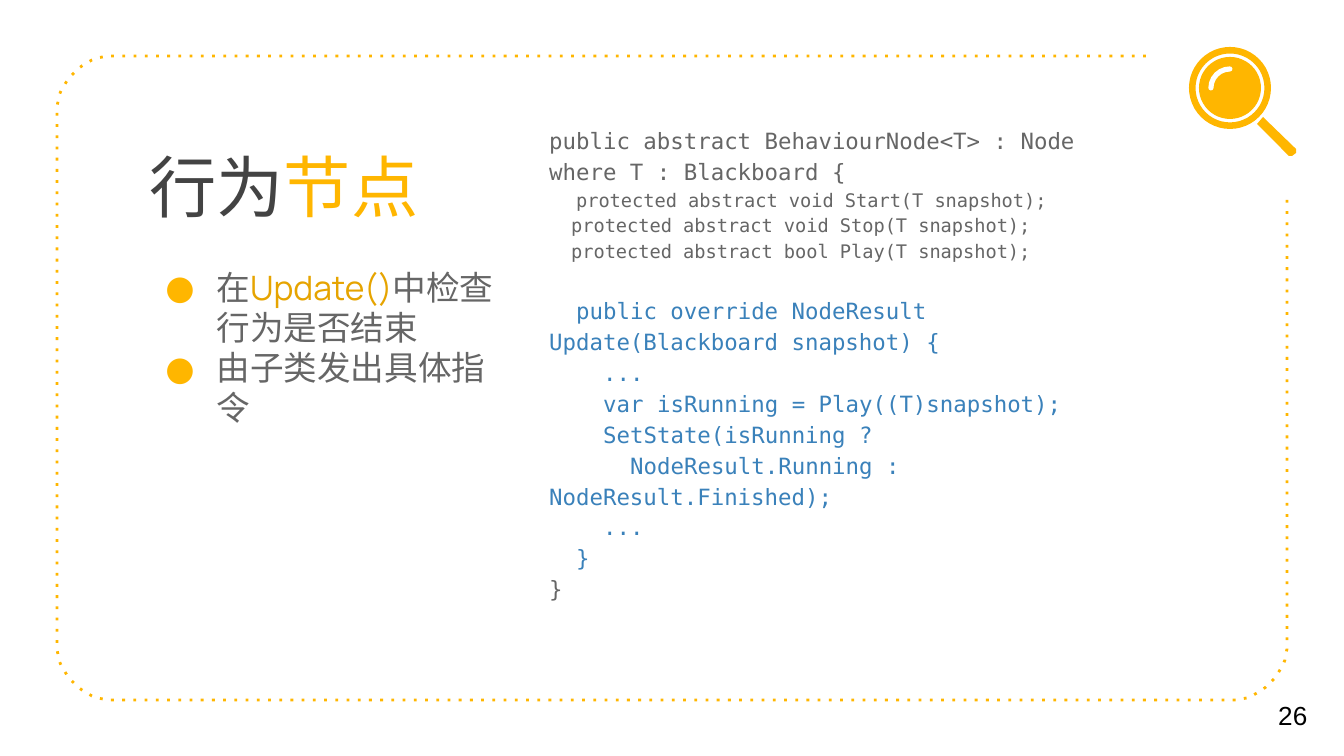
import math

from lxml import etree
from pptx import Presentation
from pptx import util as u
from pptx.dml.color import RGBColor
from pptx.enum import shapes, text
from pptx.oxml import ns

EMU_PER_PX = 914400 / 134.4
YELLOW, GOLD, DARK, GREY, BLUE = "FFB600", "E6A400", "434343", "666666", "3A81BA"
BLACK, WHITE = "000000", "FFFFFF"
SANS, MONO = "Manrope", "DejaVu Sans Mono"

# text, indent in px, size in points, colour, space before in points
CODE = [
    ("public abstract BehaviourNode<T> : Node", 0, 12, GREY, 0),
    ("where T : Blackboard {", 0, 12, GREY, 0),
    ("protected abstract void Start(T snapshot);", 27, 10, GREY, 0),
    ("protected abstract void Stop(T snapshot);", 22, 10, GREY, 0),
    ("protected abstract bool Play(T snapshot);", 22, 10, GREY, 0),
    ("public override NodeResult Update(Blackboard snapshot) {", 27, 12, BLUE, 16.5),
    ("...", 54, 12, BLUE, 0),
    ("var isRunning = Play((T)snapshot);", 54, 12, BLUE, 0),
    ("SetState(isRunning ?", 54, 12, BLUE, 0),
    ("NodeResult.Running : NodeResult.Finished);", 81, 12, BLUE, 0),
    ("...", 54, 12, BLUE, 0),
    ("}", 27, 12, BLUE, 0),
    ("}", 0, 12, GREY, 0),
]
BULLETS = [
    ([("在", GREY), ("Update()", GOLD), ("中检查行为是否结束", GREY)], 6),
    ([("由子类发出具体指令", GREY)], 0),
]


def px(value):
    return u.Emu(round(value * EMU_PER_PX))


def paint(color_format, value):
    color_format.rgb = RGBColor.from_string(value)


def fill_shape(shape, color):
    shape.shadow.inherit = False
    shape.fill.solid()
    paint(shape.fill.fore_color, color)
    shape.line.fill.background()


def stroke_shape(shape, color, width):
    shape.shadow.inherit = False
    shape.fill.background()
    shape.line.width = u.Pt(width)
    paint(shape.line.color, color)
    return shape.line.fill._xPr


def add_run(paragraph, content, size, color, font):
    run = paragraph.add_run()
    run.text = content
    run.font.size = u.Pt(size)
    run.font.name = font
    paint(run.font.color, color)


def prepare_frame(shape, box, anchor=text.MSO_ANCHOR.TOP):
    """Place a text shape and give its frame even insets."""
    shape.left, shape.top, shape.width, shape.height = map(px, box)
    frame = shape.text_frame
    frame.word_wrap = True
    frame.auto_size = text.MSO_AUTO_SIZE.NONE
    frame.vertical_anchor = anchor
    frame.margin_left = frame.margin_right = u.Inches(0.1)
    frame.margin_top = frame.margin_bottom = u.Inches(0.1)
    return frame


def paragraphs_for(frame, items):
    """Pair each item with a paragraph, starting with the existing one."""
    for index, item in enumerate(items):
        yield (frame.add_paragraph() if index else frame.paragraphs[0]), item


def set_indent(paragraph, margin, indent):
    properties = paragraph._p.get_or_add_pPr()
    properties.set("marL", str(px(margin)))
    properties.set("indent", str(px(indent)))
    return properties


def add_bullet(paragraph, color):
    properties = set_indent(paragraph, 67, -51)
    bullet_color = etree.SubElement(properties, ns.qn("a:buClr"))
    etree.SubElement(bullet_color, ns.qn("a:srgbClr"), val=color)
    etree.SubElement(properties, ns.qn("a:buFont"), typeface=SANS)
    etree.SubElement(properties, ns.qn("a:buChar"), char="●")


def add_outline(slide, points, closed):
    builder = slide.shapes.build_freeform(*points[0], scale=EMU_PER_PX)
    builder.add_line_segments(points[1:], close=closed)
    return builder.convert_to_shape()


def corner(center_x, center_y, radius, start):
    """Points of a quarter turn, counter-clockwise on the slide."""
    angles = [math.radians(start - step * 90 / 16) for step in range(17)]
    return [(center_x + radius * math.cos(a), center_y + radius * math.sin(a))
            for a in angles]


def add_dotted_border(slide):
    left, top, right, bottom, radius = 57, 56, 1287, 700, 57
    points = [(1146, top)]
    points += corner(left + radius, top + radius, radius, 270)
    points += corner(left + radius, bottom - radius, radius, 180)
    points += corner(right - radius, bottom - radius, radius, 90)
    points.append((right, 196))
    line = stroke_shape(add_outline(slide, points, False), YELLOW, 1.5)
    etree.SubElement(line, ns.qn("a:prstDash"), val="dot")


def add_round(slide, kind, radius):
    center_x, center_y = 1230, 88
    return slide.shapes.add_shape(kind, px(center_x - radius), px(center_y - radius),
                                  px(2 * radius), px(2 * radius))


def add_magnifier(slide):
    kinds = shapes.MSO_SHAPE
    ring = add_round(slide, kinds.DONUT, 41)
    ring.adjustments[0] = 0.08
    fill_shape(ring, YELLOW)
    fill_shape(add_round(slide, kinds.OVAL, 31), YELLOW)
    gleam = add_round(slide, kinds.ARC, 19)
    gleam.adjustments[0], gleam.adjustments[1] = 108, 162
    stroke_shape(gleam, WHITE, 2.75).set("cap", "rnd")
    handle = [(1263, 117), (1296, 149), (1296, 153), (1292, 156), (1289, 156), (1257, 124)]
    fill_shape(add_outline(slide, handle, True), YELLOW)


def add_title(slide):
    paragraph = prepare_frame(slide.shapes.title, (136, 132, 1009, 109)).paragraphs[0]
    paragraph.alignment = text.PP_ALIGN.LEFT
    for content, color in (("行为", DARK), ("节点", YELLOW)):
        add_run(paragraph, content, 36, color, SANS)


def add_bullet_list(slide):
    frame = prepare_frame(slide.placeholders[1], (136, 253, 379, 407))
    for paragraph, (runs, before) in paragraphs_for(frame, BULLETS):
        paragraph.space_before = u.Pt(before)
        add_bullet(paragraph, YELLOW)
        for content, color in runs:
            add_run(paragraph, content, 18, color, SANS)


def add_code(slide):
    frame = prepare_frame(slide.shapes.add_textbox(0, 0, 0, 0), (536, 110, 634, 550))
    for paragraph, (content, indent, size, color, before) in paragraphs_for(frame, CODE):
        paragraph.line_spacing = 1.15
        paragraph.space_before = u.Pt(before)
        set_indent(paragraph, 0, indent)
        add_run(paragraph, content, size, color, MONO)


def add_page_number(slide):
    frame = prepare_frame(slide.shapes.add_textbox(0, 0, 0, 0), (1265, 675, 79, 81),
                          text.MSO_ANCHOR.MIDDLE)
    add_run(frame.paragraphs[0], "26", 14, BLACK, "Arial")


def main():
    presentation = Presentation()
    presentation.slide_width, presentation.slide_height = px(1344), px(756)
    slide = presentation.slides.add_slide(presentation.slide_layouts[1])
    add_dotted_border(slide)
    add_title(slide)
    add_page_number(slide)
    add_magnifier(slide)
    add_code(slide)
    add_bullet_list(slide)
    presentation.save("out.pptx")


if __name__ == "__main__":
    main()
